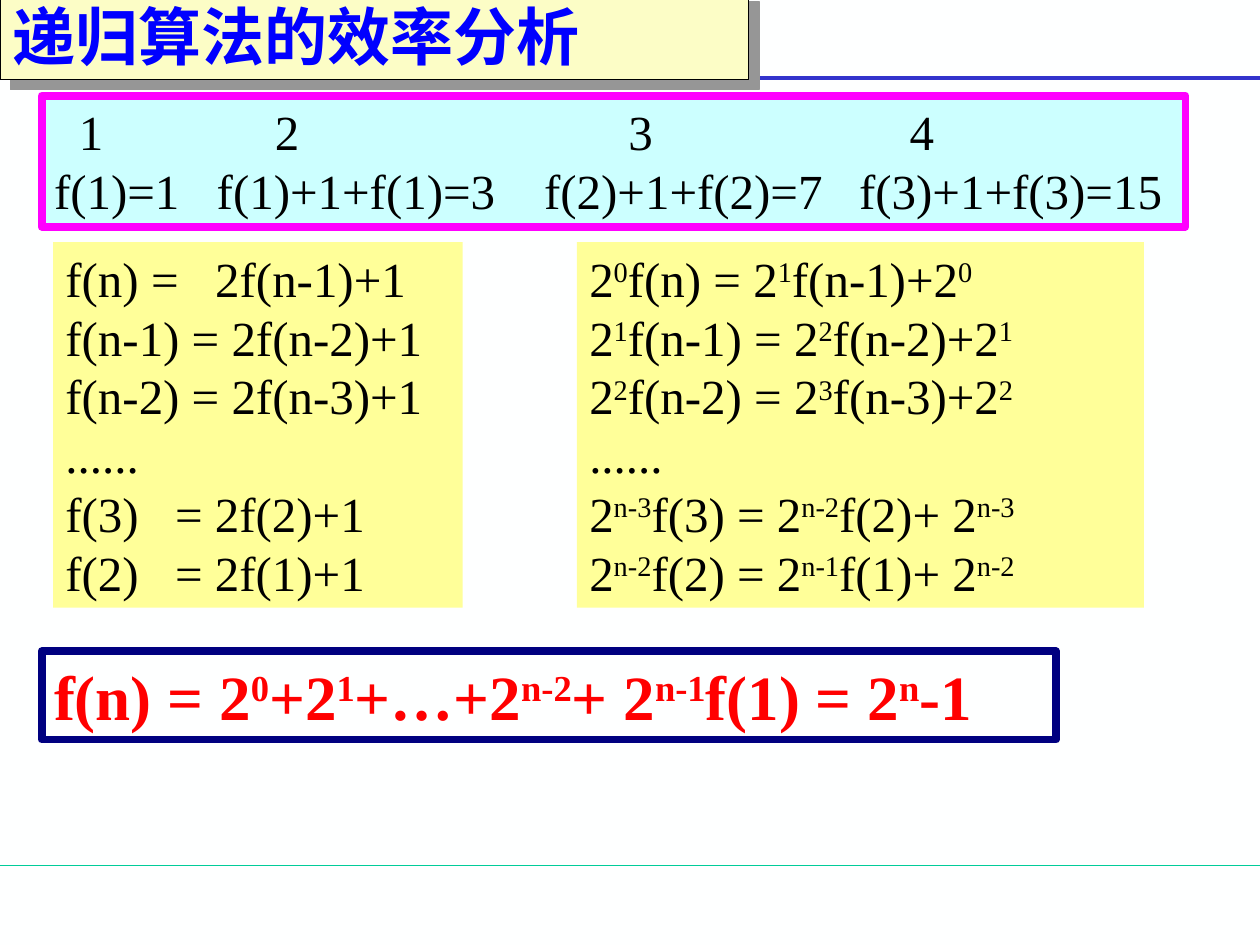
from lxml.etree import SubElement as Sub
from pptx import Presentation
from pptx.dml.color import RGBColor as Rgb
from pptx.enum.shapes import MSO_CONNECTOR as Link, MSO_SHAPE as Kind
from pptx.enum.text import MSO_ANCHOR as Anchor, PP_ALIGN as Align
from pptx.oxml.ns import qn
from pptx.util import Cm, Pt

COLORS = {
    "page": "FEFFFF", "black": "000000", "blue": "0000FF", "red": "FF0000",
    "navy": "000080", "pink": "FF00FF", "cyan": "CCFFFF", "yellow": "FFFF99",
    "cream": "FCFDC6", "gray": "969696", "green": "00CC99", "rule": "3333CC",
}

# Rows: (text, tab stops in cm); every second part between bars is raised
CALLS = [
    ("\t1\t2\t3\t4", [0.5, 4.45, 11.58, 17.25]),
    ("f(1)=1\tf(1)+1+f(1)=3\tf(2)+1+f(2)=7\tf(3)+1+f(3)=15",
     [3.28, 9.88, 16.23]),
]
STEPS = [
    ("f(n) =\t2f(n-1)+1", [3.02]),
    ("f(n-1) = 2f(n-2)+1", []),
    ("f(n-2) = 2f(n-3)+1", []),
    ("......", []),
    ("f(3)\t= 2f(2)+1", [2.21]),
    ("f(2)\t= 2f(1)+1", [2.21]),
]
SCALED = [
    ("2|0|f(n) = 2|1|f(n-1)+2|0", []),
    ("2|1|f(n-1) = 2|2|f(n-2)+2|1", []),
    ("2|2|f(n-2) = 2|3|f(n-3)+2|2", []),
    ("......", []),
    ("2|n-3|f(3) = 2|n-2|f(2)+ 2|n-3", []),
    ("2|n-2|f(2) = 2|n-1|f(1)+ 2|n-2", []),
]
RESULT = [("f(n) = 2|0|+2|1|+…+2|n-2|+ 2|n-1|f(1) = 2|n|-1", [])]
TITLE = [("递归算法的效率分析", [])]

# Font formats
BODY = {"name": "Times New Roman", "size": Pt(28), "bold": False}
BIG = {"name": "Times New Roman", "size": Pt(36), "bold": True}
HEAD = {"name": "Arial", "size": Pt(36), "bold": True}

# Boxes: rows, place in cm, fill, line, line width, font, text colour
BOXES = [
    (CALLS, (0.84, 1.93, 23.06, 2.64), "cyan", "pink", 4.5, BODY, "black"),
    (STEPS, (1.07, 4.88, 8.26, 7.37), "yellow", None, 0, BODY, "black"),
    (SCALED, (11.63, 4.88, 11.43, 7.37), "yellow", None, 0, BODY, "black"),
    (RESULT, (0.84, 13.13, 20.45, 1.78), None, "navy", 4.5, BIG, "red"),
    (TITLE, (0, -0.18, 15.09, 1.78), "cream", "black", 0.75, HEAD, "blue"),
]
# Rules: height in cm, colour, width
RULES = [(17.45, "green", 0.75), (1.57, "rule", 2.25)]


def tint(name):
    return Rgb.from_string(COLORS[name])


def add_row(para, text, stops, font, color):
    para.alignment = Align.LEFT
    if stops:
        tabs = Sub(para._p.get_or_add_pPr(), qn("a:tabLst"))
        for stop in stops:
            Sub(tabs, qn("a:tab"), pos=str(Cm(stop)), algn="l")
    for i, part in enumerate(text.split("|")):
        run = para.add_run()
        run.text = part
        for key, value in font.items():
            setattr(run.font, key, value)
        run.font.color.rgb = tint(color)
        if i % 2:
            run._r.get_or_add_rPr().set("baseline", "30000")


def add_box(slide, rows, place, fill, line, width, font, color):
    box = slide.shapes.add_shape(Kind.RECTANGLE, *map(Cm, place))
    box.shadow.inherit = False
    if fill:
        box.fill.solid()
        box.fill.fore_color.rgb = tint(fill)
    else:
        box.fill.background()
    if line:
        box.line.color.rgb = tint(line)
        box.line.width = Pt(width)
    else:
        box.line.fill.background()
    frame = box.text_frame
    frame.word_wrap = True
    frame.vertical_anchor = Anchor.TOP
    for i, (text, stops) in enumerate(rows):
        para = frame.add_paragraph() if i else frame.paragraphs[0]
        add_row(para, text, stops, font, color)
    return box


def add_shade(box):
    effects = box._element.spPr.find(qn("a:effectLst"))
    shade = Sub(effects, qn("a:outerShdw"), dist=str(Pt(8.5)),
                dir="2700000", algn="ctr", rotWithShape="0")
    Sub(shade, qn("a:srgbClr"), val=COLORS["gray"])


def main():
    deck = Presentation()
    deck.slide_width, deck.slide_height = Cm(25.4), Cm(19.05)
    slide = deck.slides.add_slide(deck.slide_layouts[6])
    slide.background.fill.solid()
    slide.background.fill.fore_color.rgb = tint("page")

    # Rules across the page
    for y, color, width in RULES:
        rule = slide.shapes.add_connector(
            Link.STRAIGHT, 0, Cm(y), deck.slide_width, Cm(y))
        rule.line.color.rgb = tint(color)
        rule.line.width = Pt(width)
        Sub(rule._element.spPr, qn("a:effectLst"))

    # Boxes, the title last with its shadow
    boxes = [add_box(slide, *item) for item in BOXES]
    add_shade(boxes[-1])
    deck.save("out.pptx")


if __name__ == "__main__":
    main()
